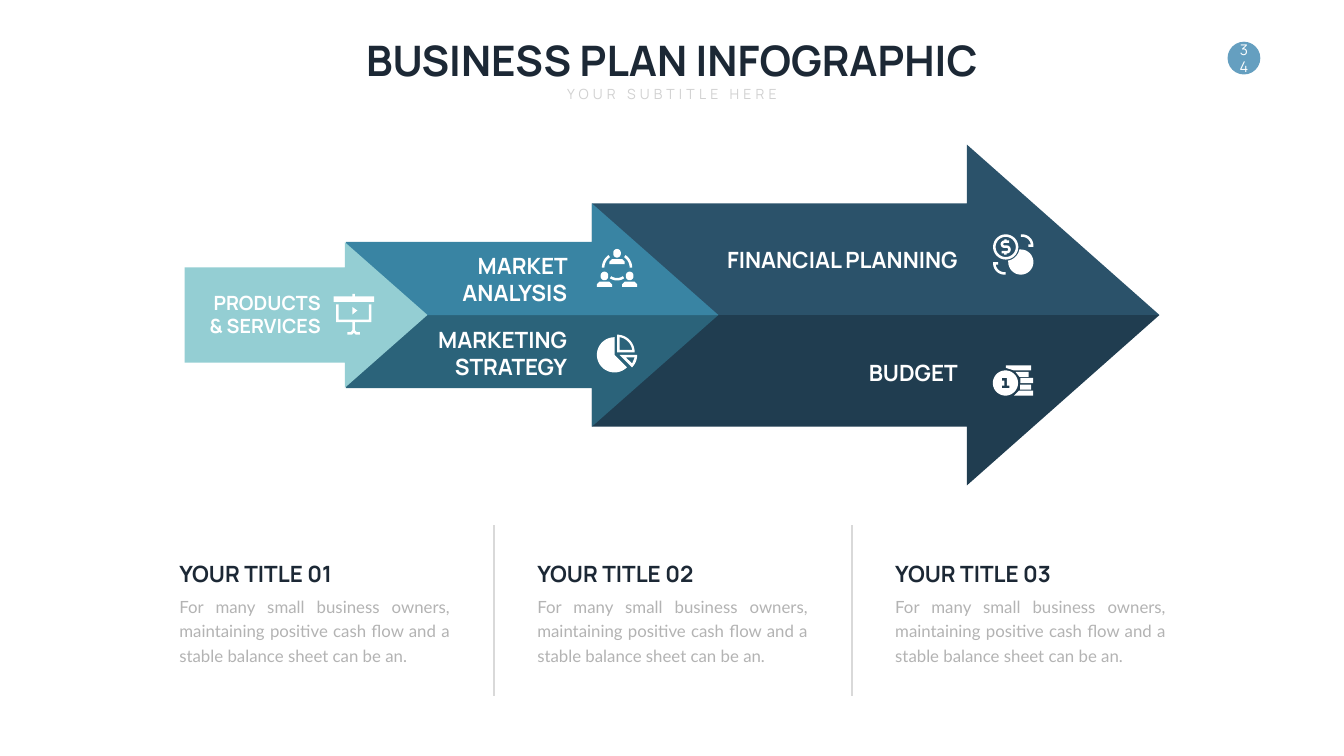
from dataclasses import dataclass
from math import cos, radians, sin

from lxml.etree import SubElement
from pptx import Presentation
from pptx.dml.color import RGBColor
from pptx.enum.shapes import MSO_CONNECTOR as Connector, MSO_SHAPE as Shape
from pptx.enum.text import MSO_ANCHOR as Anchor, MSO_AUTO_SIZE as AutoSize, PP_ALIGN as Align
from pptx.oxml.ns import qn
from pptx.util import Pt


@dataclass(frozen=True)
class Theme:
    head_font: str = "Manrope"
    body_font: str = "Lato"
    white: str = "FFFFFF"
    ink: str = "1C2835"
    subtitle: str = "D1D1D1"
    body: str = "B3B3B3"
    rule: str = "D9D9D9"
    badge: str = "659FC0"
    products: str = "94CED3"
    market: str = "3984A3"
    strategy: str = "2B637A"
    finance: str = "2B526A"
    budget: str = "203D50"
    title_size: int = 60
    label_size: int = 32
    small_label_size: int = 28
    body_size: int = 24
    badge_size: int = 21
    subtitle_size: int = 20


THEME = Theme()
BODY = ("For many small business owners, maintaining positive cash flow and "
        "a stable balance sheet can be an.")
ICON_UNIT = 3.6


def style_text(frame, text, size, color, font=THEME.head_font, bold=False, align=Align.LEFT):
    para = frame.paragraphs[0]
    para.text = text
    para.alignment = align
    para.font.name = font
    para.font.size = Pt(size)
    para.font.bold = bold
    para.font.color.rgb = RGBColor.from_string(color)
    return para


def add_text(page, box, text, size, color, anchor=Anchor.TOP, wrap=True, **style):
    frame = page.shapes.add_textbox(*map(Pt, box)).text_frame
    frame.word_wrap = wrap
    frame.auto_size = AutoSize.SHAPE_TO_FIT_TEXT
    frame.vertical_anchor = anchor
    return style_text(frame, text, size, color, **style)


def paint(shape, color):
    shape.shadow.inherit = False
    shape.fill.solid()
    shape.fill.fore_color.rgb = RGBColor.from_string(color)
    shape.line.fill.background()


def add_outline(page, contours, color):
    """Draw closed contours as one shape; inner contours become holes."""
    contours = [[(Pt(x), Pt(y)) for x, y in points] for points in contours]
    builder = page.shapes.build_freeform(*contours[0][0])
    for number, (start, *rest) in enumerate(contours):
        if number:
            builder.move_to(*start)
        builder.add_line_segments(rest, close=True)
    paint(builder.convert_to_shape(), color)


def arc(x, y, radius, start, end, steps=24):
    """Points along an arc, in degrees clockwise from the right."""
    angles = [radians(start + (end - start) * i / steps) for i in range(steps + 1)]
    return [(x + radius * cos(a), y + radius * sin(a)) for a in angles]


def circle(x, y, radius):
    return arc(x, y, radius, 0, 360, 48)


def band(x, y, inner, outer, start, end):
    return arc(x, y, inner, start, end) + arc(x, y, outer, end, start)


def rect(left, top, right, bottom):
    return [(left, top), (right, top), (right, bottom), (left, bottom)]


def board_icon():
    play = [(7.4, 5.2), (9.4, 6.6), (7.4, 8.2)]
    stand = [(1, 4.2), (2, 4.2), (2, 10.2), (14, 10.2), (14, 4.2), (15, 4.2), (15, 11.2),
             (8.4, 11.2), (8.4, 14.4), (9.2, 15.2), (10.4, 15.2), (10.4, 16.2), (8.8, 16.2),
             (8, 15.4), (7.2, 16.2), (5.4, 16.2), (5.4, 15.2), (6.8, 15.2), (7.4, 14.4),
             (7.4, 11.2), (1, 11.2)]
    rail = [(7.4, 0), (8.4, 0), (8.4, 1), (16, 1), (16, 3.2), (0, 3.2), (0, 1), (7.4, 1)]
    return [play, stand, rail]


def team_icon():
    contours = [band(8, 7.4, 5, 6, -56, 0), band(8, 7.4, 5, 6, 180, 236),
                band(8, 7.4, 4.1, 5.1, 56, 124)]
    for x, top in ((8, 0), (3, 9), (13, 9)):
        head = arc(x, top + 1.5, 1.5, 180, 360) + arc(x, top + 1.9, 1.5, 0, 180)
        body = [(x - 2, top + 4), (x + 2, top + 4), (x + 3, top + 5),
                (x + 3, top + 6), (x - 3, top + 6), (x - 3, top + 5)]
        contours += [head, body]
    return contours


def pie_icon():
    return [[(7, 8)] + arc(7, 8, 7, 45, 270),
            [(8, 7)] + arc(8, 7, 7, -90, 0),
            [(9, 6)] + arc(8, 7, 6.1, -9.5, -80.5),
            [(9, 8)] + arc(9, 8, 7, 0, 45),
            [(11.4, 9), (15, 9), (14, 11.4)]]


def exchange_icon():
    arrow = ([(0, 11), (2, 11), (2, 12), (1, 12)] + arc(4.5, 11.5, 3.5, 180, 90)
             + [(5, 15), (5, 16)] + arc(4.5, 11.5, 4.5, 90, 180))
    opposite = [(16 - x, 16 - y) for x, y in arrow]
    coin = arc(11, 11, 5, -90, 180) + arc(5, 5, 5.5, 80, 10)
    dollar = ([(4.5, 2), (5.4, 2), (5.4, 2.4), (6.4, 2.4), (6.4, 3.4)]
              + arc(4.5, 3.9, 0.5, 270, 90) + arc(5.4, 6, 1.6, -90, 90)
              + [(5.4, 8), (4.4, 8), (4.4, 7.6), (3.4, 7.6), (3.4, 6.6)]
              + arc(5.4, 6, 0.6, 90, -90) + arc(4.5, 3.9, 1.5, 90, 270))
    return [arrow, opposite, coin, circle(5, 5, 5), circle(5, 5, 4), dollar]


def coins_icon():
    stack = [[(5.2, 0), (15.2, 0), (15.2, 2), (8.4, 2), (5.2, 1)],
             [(9, 2.6), (14.2, 2.6), (14.2, 4.6), (10.6, 4.6)],
             rect(10.9, 5, 16, 7), rect(10.8, 7.6, 15.2, 9.6),
             [(10.4, 10), (16, 10), (16, 12), (8.4, 12)]]
    numeral = [(3.6, 5), (5.6, 5), (5.6, 8), (6.6, 8), (6.6, 9), (3.6, 9),
               (3.6, 8), (4.6, 8), (4.6, 6), (3.6, 6)]
    return stack + [circle(5, 7, 5), numeral]


def add_icon(page, left, top, contours):
    add_outline(page, [[(left + x * ICON_UNIT, top + y * ICON_UNIT) for x, y in points]
                       for points in contours], THEME.white)


def half_arrow(axis, left, neck, tip, shaft, head, side):
    """One half of an arrow, above (side -1) or below (side 1) its axis."""
    return [(left, axis), (left, axis + side * shaft), (neck, axis + side * shaft),
            (neck, axis + side * head), (tip, axis)]


def add_header(page, left, top, width):
    add_text(page, (left, top, width, 80), "BUSINESS PLAN INFOGRAPHIC", THEME.title_size,
             THEME.ink, wrap=False, bold=True, align=Align.CENTER)
    para = add_text(page, (left, top + 72, width, 31.7), "YOUR SUBTITLE HERE",
                    THEME.subtitle_size, THEME.subtitle, wrap=False, align=Align.CENTER)
    para._p.get_or_add_pPr().get_or_add_defRPr().set("spc", "600")


def add_page_badge(page, left, top, size):
    badge = page.shapes.add_shape(Shape.OVAL, *map(Pt, (left, top, size, size)))
    paint(badge, THEME.badge)
    frame = badge.text_frame
    frame.word_wrap = True
    frame.vertical_anchor = Anchor.MIDDLE
    style_text(frame, "34", THEME.badge_size, THEME.white, align=Align.CENTER)


def add_arrows(page, axis):
    large = (axis, 845.3, 1381, 1656, 159.3, 243.4)
    middle = (axis, 494, 845.3, 1026, 104.4, 159.5)
    small = (axis, 263.5, 492.5, 610.5, 68, 104)
    add_outline(page, [half_arrow(*large, -1)], THEME.finance)
    add_outline(page, [half_arrow(*large, 1)], THEME.budget)
    add_outline(page, [half_arrow(*middle, 1)], THEME.strategy)
    add_outline(page, [half_arrow(*middle, -1)], THEME.market)
    add_outline(page, [half_arrow(*small, -1) + half_arrow(*small, 1)[::-1]], THEME.products)

    labels = [
        ("PRODUCTS & SERVICES", (287.3, axis - 38.9, 177.8, 74.9), Anchor.MIDDLE, THEME.small_label_size),
        ("MARKET ANALYSIS", (591.8, axis - 94.3, 225.4, 85), Anchor.BOTTOM, THEME.label_size),
        ("MARKETING STRATEGY", (591.8, axis + 10.8, 225.4, 85), Anchor.BOTTOM, THEME.label_size),
        ("FINANCIAL PLANNING", (990, axis - 103, 385.2, 46), Anchor.BOTTOM, THEME.label_size),
        ("BUDGET", (990, axis + 59, 385.2, 46), Anchor.MIDDLE, THEME.label_size),
    ]
    for text, box, anchor, size in labels:
        add_text(page, box, text, size, THEME.white, anchor, bold=True, align=Align.RIGHT)

    add_icon(page, 476.6, axis - 30.2, board_icon())
    add_icon(page, 852.5, axis - 94.3, team_icon())
    add_icon(page, 852.5, axis + 28.1, pie_icon())
    add_icon(page, 1418.4, axis - 115.2, exchange_icon())
    add_icon(page, 1418, axis + 72, coins_icon())


def add_column(page, left, top, width, title):
    add_text(page, (left, top, width, 46), title, THEME.label_size, THEME.ink,
             Anchor.BOTTOM, bold=True)
    para = add_text(page, (left, top + 46.8, width, 109.4), BODY, THEME.body_size, THEME.body,
                    font=THEME.body_font, align=Align.JUSTIFY)
    para.line_spacing = Pt(35)


def add_divider(page, x, top, bottom):
    rule = page.shapes.add_connector(Connector.STRAIGHT, *map(Pt, (x, top, x, bottom)))
    rule.line.color.rgb = RGBColor.from_string(THEME.rule)
    rule.line.width = Pt(3)
    SubElement(rule._element.spPr, qn("a:effectLst"))


def add_columns(page, left, top, width, pitch):
    for index in range(3):
        x = left + index * pitch
        add_column(page, x, top, width, f"YOUR TITLE {index + 1:02}")
        if index:
            add_divider(page, x - 55, top - 45.4, top + 198)


def main():
    deck = Presentation()
    deck.slide_width, deck.slide_height = Pt(1919.52), Pt(1080)
    page = deck.slides.add_slide(deck.slide_layouts[6])
    add_page_badge(page, 1753.2, 59.6, 46.8)
    add_header(page, 505.4, 46.1, 908.6)
    add_arrows(page, 450)
    add_columns(page, 249.1, 795.6, 400.3, 511.2)
    deck.save("out.pptx")


if __name__ == "__main__":
    main()
